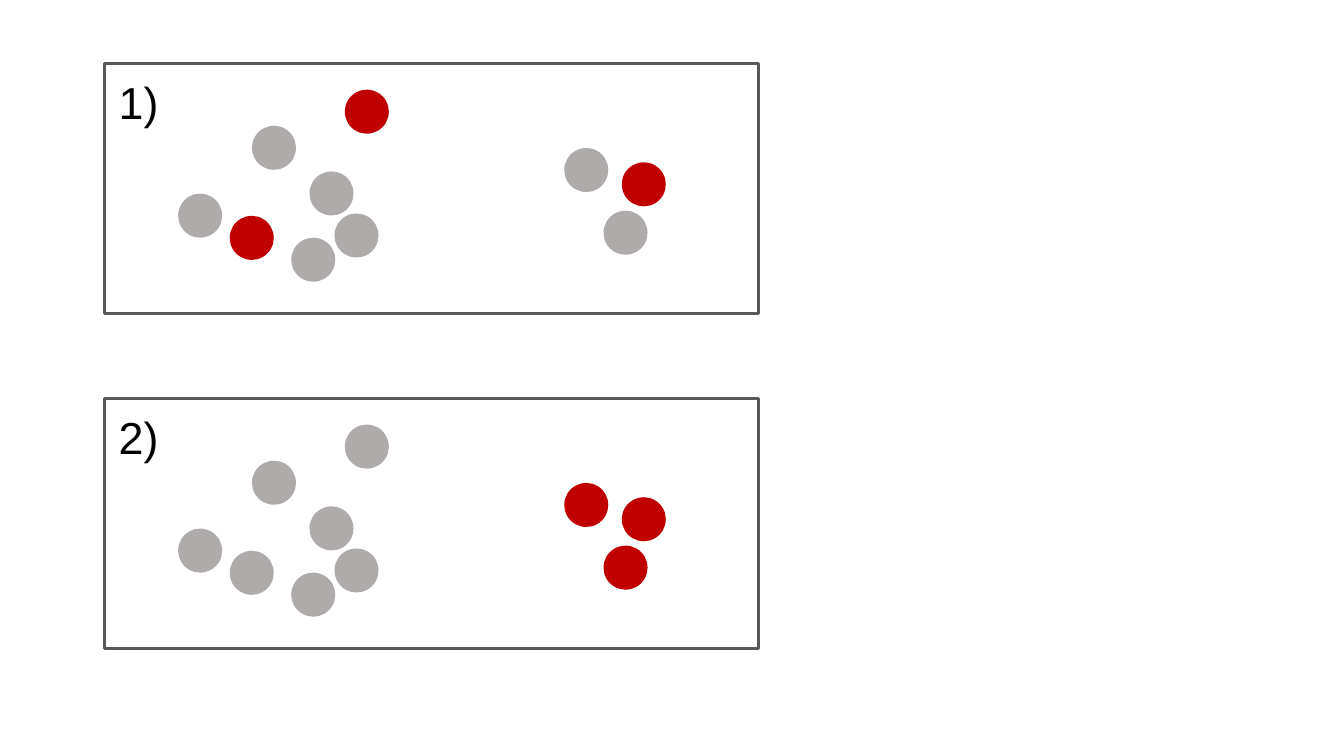
"""Build a slide with two panels of grey and red dots."""
from pptx import Presentation
from pptx.dml.color import RGBColor
from pptx.enum.shapes import MSO_SHAPE
from pptx.enum.text import MSO_AUTO_SIZE
from pptx.util import Cm, Pt

OVAL = MSO_SHAPE.OVAL
RECT = MSO_SHAPE.RECTANGLE
GROW = MSO_AUTO_SIZE.SHAPE_TO_FIT_TEXT
BLANK = 6
GREY, RED, EDGE, BLACK = "AFABAB", "C00000", "595959", "000000"
LEFT, TOP, STEP = 2.64, 1.6, 8.44
WIDTH, HEIGHT, DOT = 16.48, 6.3, 1.11
DOTS = [
    (3.71, 1.57), (1.85, 3.28), (3.15, 3.84), (5.16, 2.72), (6.05, 0.66),
    (4.7, 4.39), (5.79, 3.78), (11.58, 2.13), (12.57, 3.71), (13.03, 2.49),
]
PANELS = [("1)", {2, 4, 9}), ("2)", {7, 8, 9})]


def color(code):
    """Turn a hex string into a colour."""
    return RGBColor.from_string(code)


def add_shape(slide, kind, x, y, w, h, fill=None, line=None):
    """Add a flat shape with an optional fill and outline."""
    shape = slide.shapes.add_shape(kind, Cm(x), Cm(y), Cm(w), Cm(h))
    shape.shadow.inherit = False
    if fill:
        shape.fill.solid()
        shape.fill.fore_color.rgb = color(fill)
    else:
        shape.fill.background()
    if line:
        shape.line.color.rgb = color(line)
        shape.line.width = Pt(2.25)
    else:
        shape.line.fill.background()


def add_text(slide, text, x, y, w, h, size=32, font="Arial", ink=BLACK):
    """Add a text box that grows with its text."""
    box = slide.shapes.add_textbox(Cm(x), Cm(y), Cm(w), Cm(h))
    frame = box.text_frame
    frame.word_wrap = True
    frame.auto_size = GROW
    run = frame.paragraphs[0].add_run()
    run.text = text
    run.font.size = Pt(size)
    run.font.name = font
    run.font.color.rgb = color(ink)


def add_panel(slide, label, reds, top):
    """Add one framed panel with its dots and label."""
    for index, (x, y) in enumerate(DOTS):
        fill = RED if index in reds else GREY
        add_shape(slide, OVAL, LEFT + x, top + y, DOT, DOT, fill=fill)
    add_shape(slide, RECT, LEFT, top, WIDTH, HEIGHT, line=EDGE)
    add_text(slide, label, LEFT + 0.1, top + 0.15, 1.55, 1.62)


def main():
    """Build and save the slide."""
    deck = Presentation()
    deck.slide_width, deck.slide_height = Cm(33.87), Cm(19.05)
    slide = deck.slides.add_slide(deck.slide_layouts[BLANK])
    for row, (label, reds) in enumerate(PANELS):
        add_panel(slide, label, reds, TOP + row * STEP)
    deck.save("out.pptx")


main()
